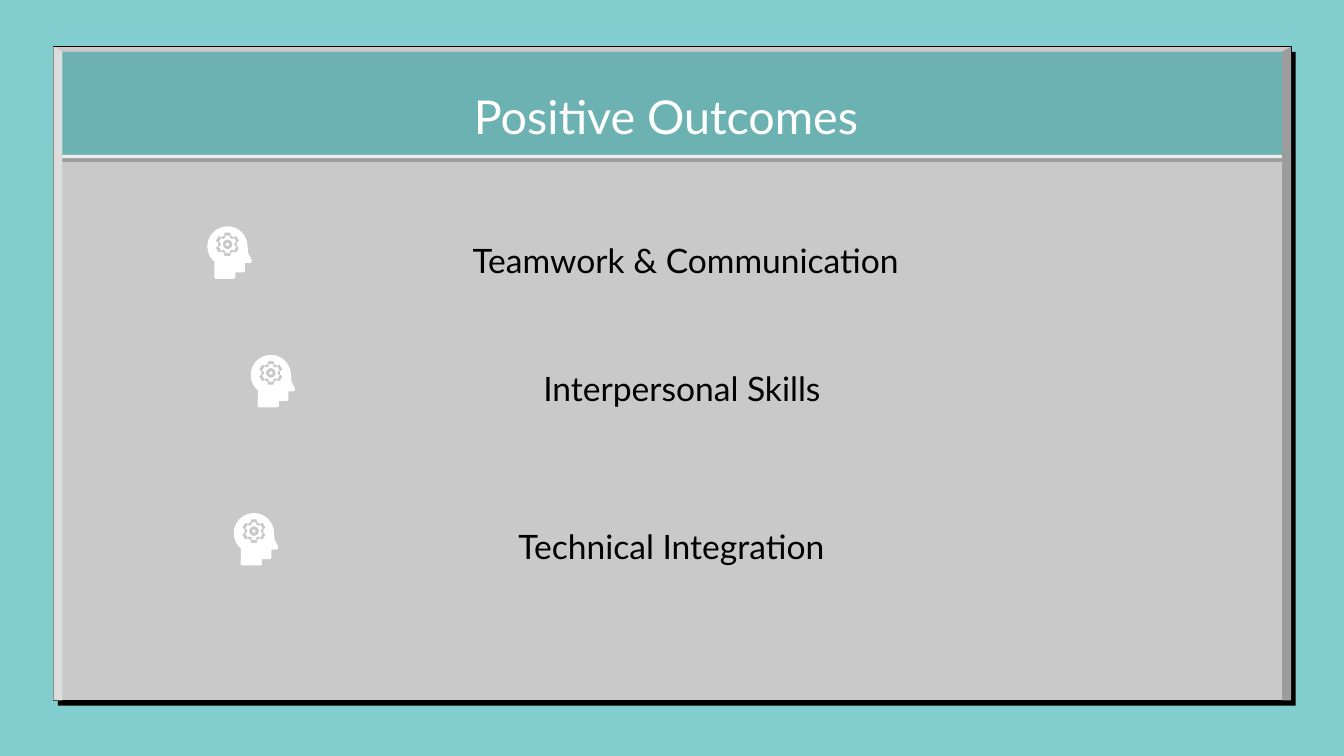
"""Build the Positive Outcomes slide: a bevelled panel with three icon rows."""
from math import cos, radians, sin

from lxml.etree import SubElement
from pptx import Presentation
from pptx.dml.color import RGBColor
from pptx.enum.shapes import MSO_SHAPE
from pptx.enum.text import MSO_ANCHOR, PP_ALIGN
from pptx.oxml.ns import qn
from pptx.util import Cm, Pt

COLORS = {
    "background": "82CECE", "panel": "C9C9C9", "band": "6DB2B2",
    "light_bevel": "DDDDDD", "dark_bevel": "9C9C9C", "highlight": "EDEDED",
    "black": "000000", "white": "FFFFFF",
}
FONT = "Lato"
TITLE = ("Positive Outcomes ", 1.98, 1.42, 21.44, 1.42)
ROWS = [
    {"text": "Teamwork & Communication", "top": 4.28, "left": 3.92, "width": 18.08, "icon": 3.92},
    {"text": "Interpersonal Skills ", "top": 6.71, "left": 4.65, "width": 16.64, "icon": 4.74},
    {"text": "Technical Integration", "top": 9.7, "left": 4.65, "width": 16.08, "icon": 4.42},
]
LEFT, TOP, RIGHT, BOTTOM = 1.01, 0.88, 24.4, 13.24
BEVEL, CORNER = 0.17, 0.1
STRIPES = [("band", 0.98, 2.96), ("dark_bevel", 2.99, 3.06), ("highlight", 2.93, 2.99)]
HEAD_CENTER, HEAD_RADIUS = (0.38, 0.38), 0.38
FACE = [(0.77, 0.5), (0.84, 0.64), (0.82, 0.69), (0.71, 0.69), (0.71, 0.84), (0.69, 0.87),
        (0.53, 0.87), (0.53, 0.97), (0.5, 0.99), (0.15, 0.99), (0.13, 0.96)]
GEAR_CENTER = (0.38, 0.34)


def color(name):
    return RGBColor.from_string(COLORS[name])


def polar(center, radius, angle):
    return (center[0] + radius * cos(radians(angle)), center[1] + radius * sin(radians(angle)))


def arc(center, radius, start, end, step=10):
    return [polar(center, radius, angle) for angle in range(start, end, step)]


def gear(tip, root):
    profile = [(root, -20), (tip, -14), (tip, 14), (root, 20)]
    return [polar(GEAR_CENTER, radius, tooth + turn)
            for tooth in range(-90, 270, 60) for radius, turn in profile]


def paint(shape, fill):
    shape.shadow.inherit = False
    shape.fill.solid()
    shape.fill.fore_color.rgb = color(fill)
    shape.line.fill.background()
    return shape


def add_outline(shapes, contours, fill, left=0, top=0):
    builder = None
    for contour in contours:
        points = [(Cm(left + x), Cm(top + y)) for x, y in contour]
        if builder is None:
            builder = shapes.build_freeform(*points[0])
        else:
            builder.move_to(*points[0])
        builder.add_line_segments(points[1:], close=True)
    return paint(builder.convert_to_shape(), fill)


def add_rectangle(shapes, left, top, right, bottom, fill):
    box = Cm(left), Cm(top), Cm(right - left), Cm(bottom - top)
    return paint(shapes.add_shape(MSO_SHAPE.RECTANGLE, *box), fill)


def add_panel(slide):
    shapes = slide.shapes.add_group_shape().shapes
    panel = add_rectangle(shapes, LEFT, TOP, RIGHT, BOTTOM, "panel")
    effects = panel._element.spPr.find(qn("a:effectLst"))
    shadow = SubElement(effects, qn("a:outerShdw"), dist=str(Pt(3.8)), dir="3000000",
                        algn="bl", rotWithShape="0")
    SubElement(shadow, qn("a:srgbClr"), val=COLORS["black"])
    border = add_rectangle(shapes, LEFT, TOP, RIGHT, BOTTOM, "panel")
    border.fill.background()
    border.line.color.rgb = color("black")
    border.line.width = Pt(0.25)
    for edge, inward, fill in [(LEFT, BEVEL, "light_bevel"), (RIGHT, -BEVEL, "dark_bevel")]:
        corners = [(edge, TOP), (edge, BOTTOM), (edge + inward, BOTTOM),
                   (edge + inward, TOP + CORNER)]
        add_outline(shapes, [corners], fill)
    for fill, top, bottom in STRIPES:
        add_rectangle(slide.shapes, LEFT + BEVEL, top, RIGHT - BEVEL, bottom, fill)


def add_text(slide, text, left, top, width, height, size, fill):
    frame = slide.shapes.add_textbox(Cm(left), Cm(top), Cm(width), Cm(height)).text_frame
    frame.word_wrap = True
    frame.vertical_anchor = MSO_ANCHOR.TOP
    frame.margin_left = frame.margin_right = frame.margin_top = frame.margin_bottom = Cm(0.25)
    paragraph = frame.paragraphs[0]
    paragraph.alignment = PP_ALIGN.CENTER
    run = paragraph.add_run()
    run.text = text
    run.font.name = FONT
    run.font.size = Pt(size)
    run.font.color.rgb = color(fill)


def add_head_icon(slide, left, top):
    shapes = slide.shapes.add_group_shape().shapes
    head = arc(HEAD_CENTER, HEAD_RADIUS, 130, 365) + FACE
    parts = [
        [head, gear(0.23, 0.18)],
        [gear(0.17, 0.13), arc(GEAR_CENTER, 0.09, 0, 360)],
        [arc(GEAR_CENTER, 0.03, 0, 360)],
    ]
    for contours in parts:
        add_outline(shapes, contours, "white", left, top)


def main():
    presentation = Presentation()
    presentation.slide_width, presentation.slide_height = Cm(25.4), Cm(14.29)
    slide = presentation.slides.add_slide(presentation.slide_layouts[6])
    slide.background.fill.solid()
    slide.background.fill.fore_color.rgb = color("background")
    add_panel(slide)
    add_text(slide, *TITLE, 25, "white")
    for row in ROWS:
        add_text(slide, row["text"], row["left"], row["top"], row["width"], 1.17, 18, "black")
        add_head_icon(slide, row["icon"], row["top"])
    presentation.save("out.pptx")


if __name__ == "__main__":
    main()
